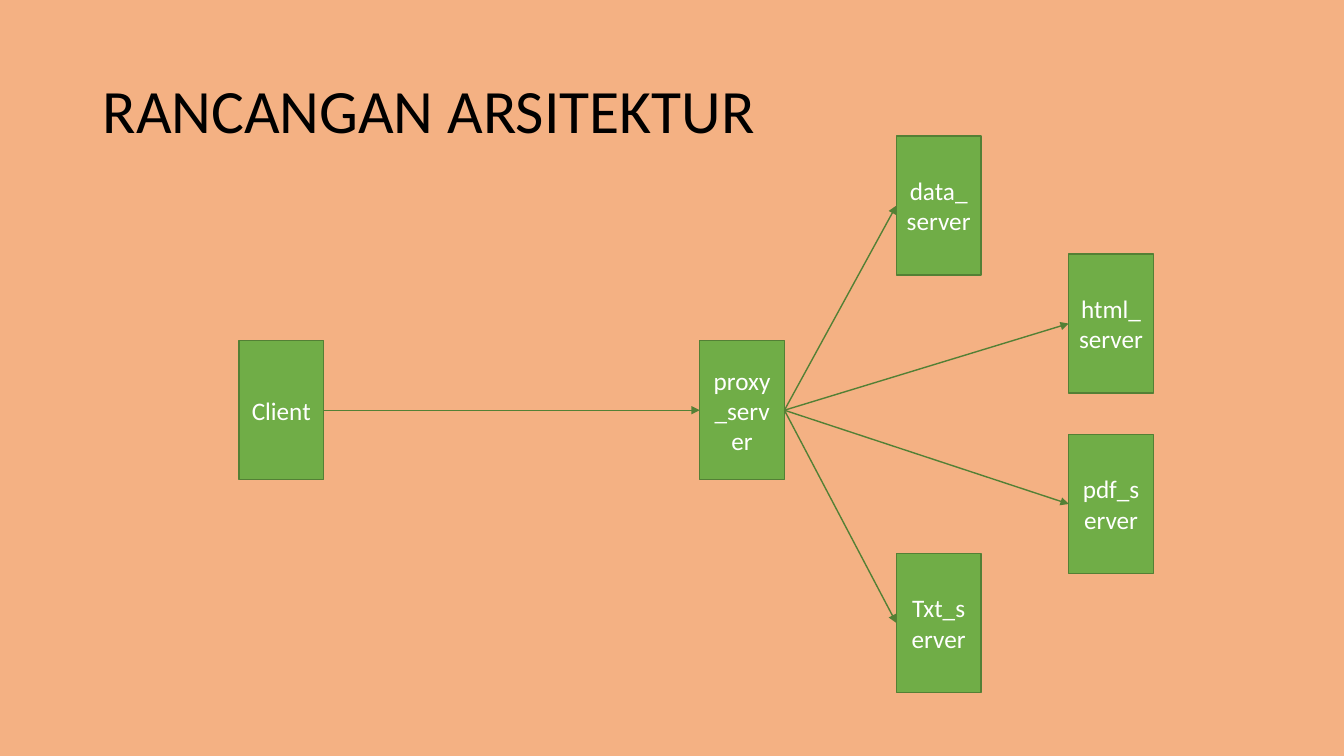
from lxml import etree
from pptx import Presentation
from pptx.dml.color import RGBColor
from pptx.enum.shapes import MSO_CONNECTOR, MSO_SHAPE
from pptx.enum.text import MSO_ANCHOR, PP_ALIGN
from pptx.oxml.ns import qn
from pptx.util import Inches, Pt

RECT = MSO_SHAPE.RECTANGLE
STRAIGHT = MSO_CONNECTOR.STRAIGHT
MIDDLE = MSO_ANCHOR.MIDDLE
LEFT, CENTER = PP_ALIGN.LEFT, PP_ALIGN.CENTER
LEFT_SIDE, RIGHT_SIDE = 1, 3


def color(code):
    """Turn a hex string into a colour."""
    return RGBColor.from_string(code)


def assign(target, values):
    """Set each named attribute of the target."""
    for name, value in values.items():
        setattr(target, name, value)


class Sketch:
    """Hold the style and the current slide."""

    font = "Calibri"
    fill, edge = "70AD47", "538035"
    width, height = 0.84, 1.38

    def __init__(self, slide, back):
        """Take the slide and paint its background."""
        self.slide = slide
        slide.background.fill.solid()
        slide.background.fill.fore_color.rgb = color(back)

    def label(self, shape, text, size, ink, para):
        """Put one styled paragraph into the shape."""
        frame = shape.text_frame
        assign(frame, {"word_wrap": True, "vertical_anchor": MIDDLE})
        line = frame.paragraphs[0]
        assign(line, para)
        run = line.add_run()
        run.text = text
        assign(run.font, {"name": self.font, "size": Pt(size)})
        run.font.color.rgb = color(ink)

    def stroke(self, line):
        """Give a line the edge colour and width."""
        line.color.rgb = color(self.edge)
        line.width = Pt(1)

    def title(self, text, *place):
        """Add the heading."""
        box = self.slide.shapes.add_textbox(*map(Inches, place))
        self.label(box, text, 44, "000000",
                   {"alignment": LEFT, "line_spacing": 0.9})

    def node(self, text, left, top):
        """Add a labelled box and return it."""
        place = (left, top, self.width, self.height)
        box = self.slide.shapes.add_shape(RECT, *map(Inches, place))
        box.shadow.inherit = False
        box.fill.solid()
        box.fill.fore_color.rgb = color(self.fill)
        self.stroke(box.line)
        self.label(box, text, 18, "FFFFFF", {"alignment": CENTER})
        return box

    def arrow(self, start, end):
        """Join the right side of one box to the left side of another."""
        link = self.slide.shapes.add_connector(STRAIGHT, 0, 0, 0, 0)
        link.begin_connect(start, RIGHT_SIDE)
        link.end_connect(end, LEFT_SIDE)
        self.stroke(link.line)
        props = link._element.spPr
        etree.SubElement(props.find(qn("a:ln")), qn("a:tailEnd"), type="triangle")
        etree.SubElement(props, qn("a:effectLst"))


deck = Presentation()
assign(deck, {"slide_width": Inches(13.33), "slide_height": Inches(7.5)})
sketch = Sketch(deck.slides.add_slide(deck.slide_layouts[6]), "F4B183")
sketch.title("RANCANGAN ARSITEKTUR", 0.92, 0.4, 11.5, 1.45)

client = sketch.node("Client", 2.37, 3.38)
proxy = sketch.node("proxy_server", 6.94, 3.38)
sketch.arrow(client, proxy)

SERVERS = [
    ("Txt_server", 8.89, 5.49),
    ("data_server", 8.89, 1.35),
    ("pdf_server", 10.6, 4.31),
    ("html_server", 10.6, 2.52),
]
for server in SERVERS:
    sketch.arrow(proxy, sketch.node(*server))

deck.save("out.pptx")
